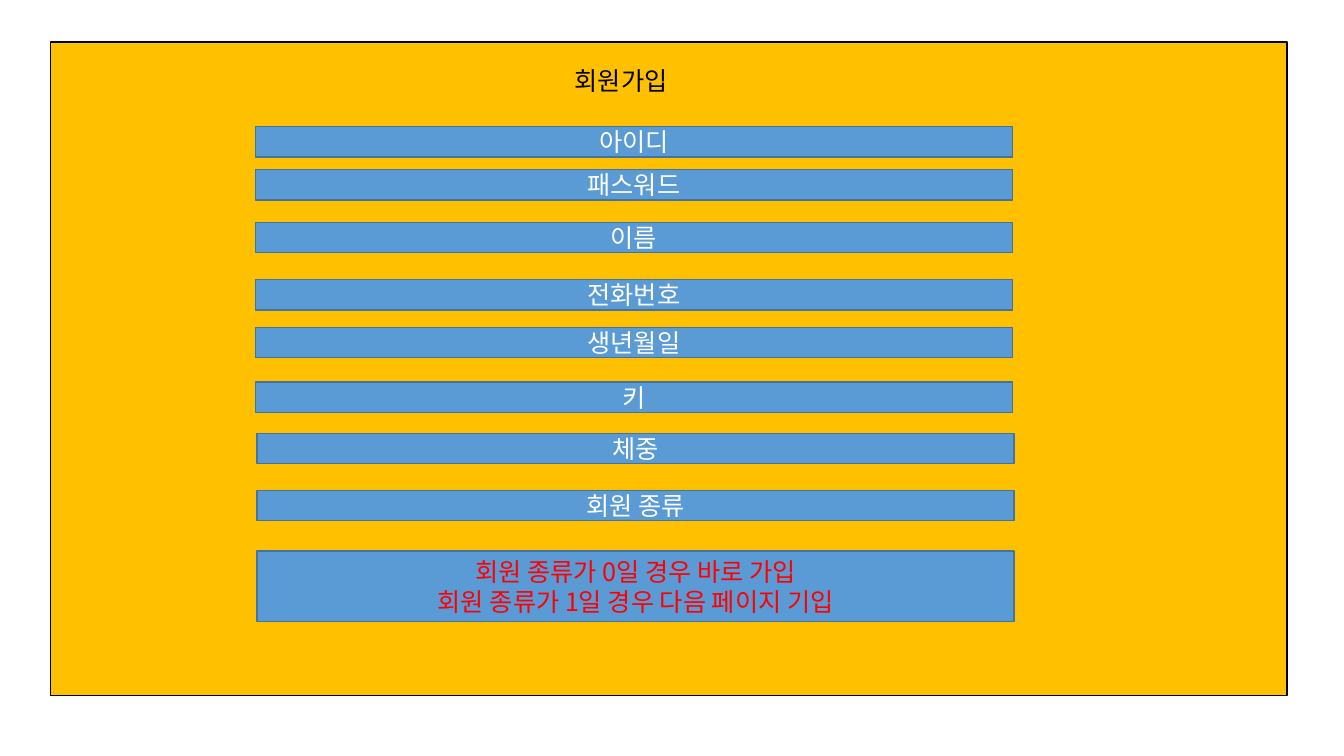
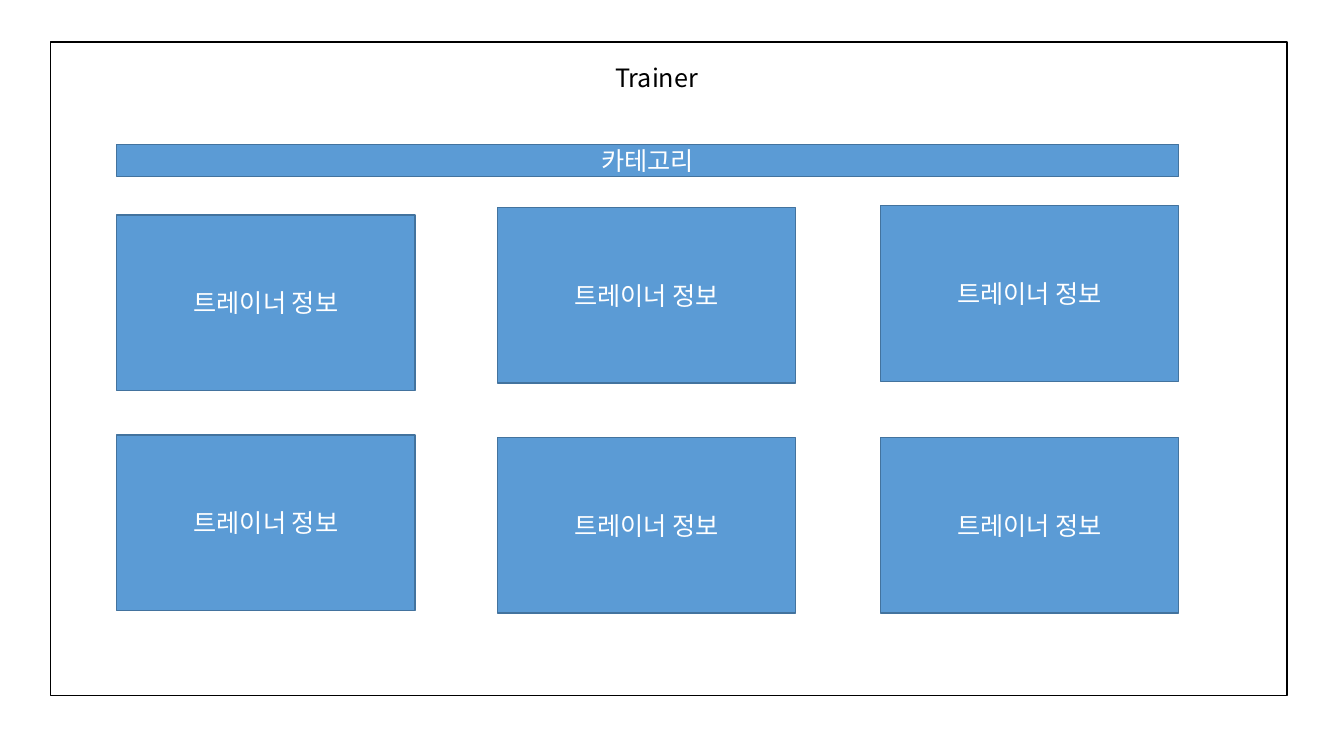
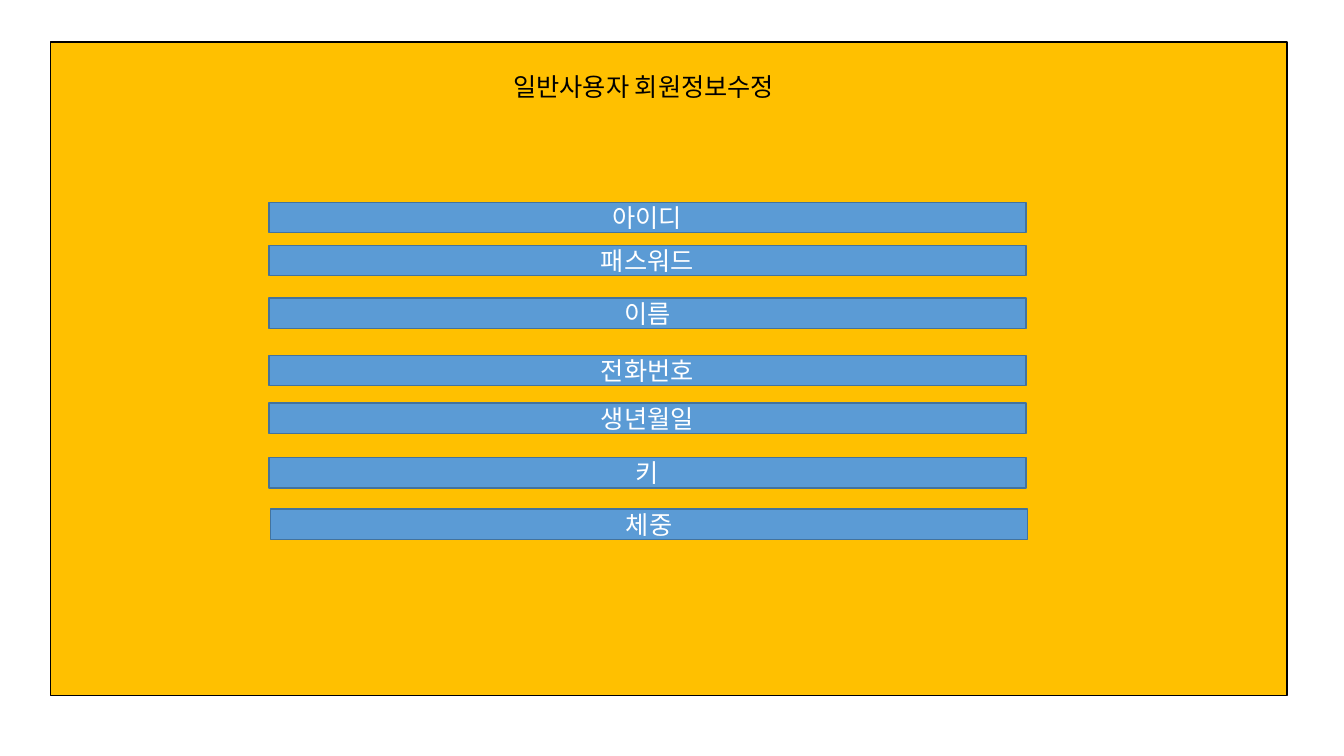
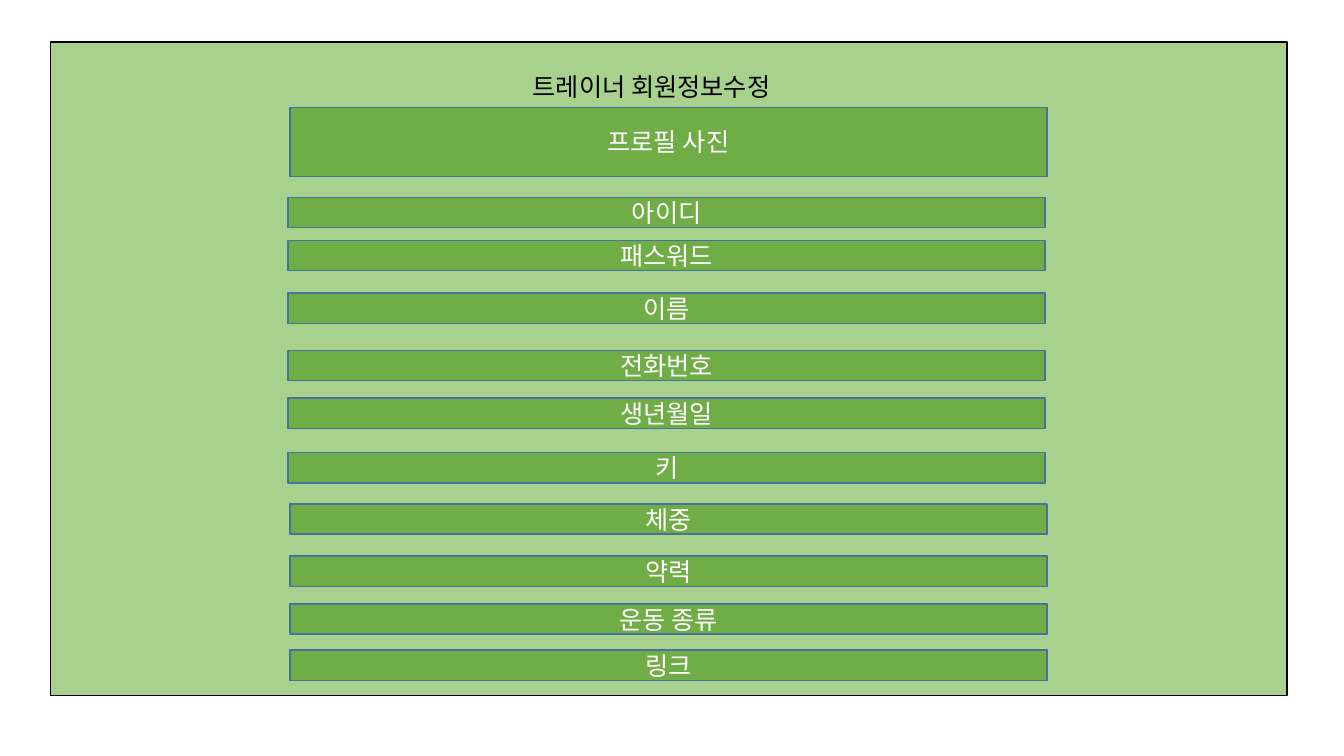
import pptx
import pptx.util
import pptx.dml.color
import pptx.enum.shapes
import pptx.enum.text
import pptx.oxml.ns
import lxml.etree

FONT = "Noto Sans CJK KR"
HUES = {
    "black": "000000", "white": "FFFFFF", "red": "FF0000",
    "gold": "FFC000", "blue": "5B9BD5", "edge": "43739E",
    "pale": "A9D18E", "green": "70AD47",
}
ROWS = 90

deck = pptx.Presentation()
deck.slide_width = pptx.util.Inches(13.33)
deck.slide_height = pptx.util.Inches(7.5)
cell = deck.slide_height / ROWS


def write(shape, text, hue, align, anchor):
    frame = shape.text_frame
    frame.text = text
    frame.word_wrap = True
    frame.auto_size = pptx.enum.text.MSO_AUTO_SIZE.NONE
    frame.vertical_anchor = anchor
    for para in frame.paragraphs:
        para.alignment = align
        for run in para.runs:
            run.font.size = pptx.util.Pt(18)
            run.font.name = FONT
            run.font.color.rgb = pptx.dml.color.RGBColor.from_string(HUES[hue])
            props = run.font._element
            east = lxml.etree.SubElement(props, pptx.oxml.ns.qn("a:ea"))
            east.set("typeface", FONT)


def box(slide, place, fill, edge="edge", text="", hue="white"):
    spot = [round(n * cell) for n in place]
    shape = slide.shapes.add_shape(pptx.enum.shapes.MSO_SHAPE.RECTANGLE, *spot)
    shape.shadow.inherit = False
    shape.fill.solid()
    shape.fill.fore_color.rgb = pptx.dml.color.RGBColor.from_string(HUES[fill])
    shape.line.color.rgb = pptx.dml.color.RGBColor.from_string(HUES[edge])
    shape.line.width = pptx.util.Pt(1)
    if text:
        write(shape, text, hue, pptx.enum.text.PP_ALIGN.CENTER,
              pptx.enum.text.MSO_ANCHOR.MIDDLE)
    return shape


heads = [
    ("회원가입", 67.2, 7.2, 16.9, "gold"),
    ("Trainer", 72, 6.8, 31.3, "white"),
    ("일반사용자 회원정보수정", 59.9, 7.9, 39.6, "gold"),
    ("트레이너 회원정보수정", 62.2, 7.9, 35, "pale"),
]
slides = []
for text, left, top, width, fill in heads:
    slide = deck.slides.add_slide(deck.slide_layouts[5])
    title = slide.shapes.title
    title.left, title.top = round(left * cell), round(top * cell)
    title.width, title.height = round(width * cell), round(4.8 * cell)
    write(title, text, "black", pptx.enum.text.PP_ALIGN.LEFT,
          pptx.enum.text.MSO_ANCHOR.TOP)
    panel = box(slide, (6, 5, 147.2, 77.8), fill, "black")
    title.element.addprevious(panel.element)
    slides.append(slide)
join, team, user, coach = slides

WIDE, HIGH, SHIFT = 90.1, 3.6, 0.2
fields = [
    ("아이디", 0, 0), ("패스워드", 0, 5.1), ("이름", 0, 11.4),
    ("전화번호", 0, 18.2), ("생년월일", 0, 23.9), ("키", 0, 30.4),
    ("체중", SHIFT, 36.5),
]
forms = [
    (join, 30.4, 15.1, "blue"),
    (user, 32, 24.1, "blue"),
    (coach, 34.3, 23.5, "green"),
]
for slide, left, top, fill in forms:
    for text, shift, drop in fields:
        box(slide, (left + shift, top + drop, WIDE, HIGH), fill, text=text)

extras = [
    (join, 30.6, 58.4, HIGH, "blue", "회원 종류", "white"),
    (join, 30.6, 65.6, 8.4, "blue",
     "회원 종류가 0일 경우 바로 가입\n회원 종류가 1일 경우 다음 페이지 기입", "red"),
    (coach, 34.5, 12.8, 8.2, "green", "프로필 사진", "white"),
    (coach, 34.5, 66.2, HIGH, "green", "약력", "white"),
    (coach, 34.5, 71.9, HIGH, "green", "운동 종류", "white"),
    (coach, 34.5, 77.4, HIGH, "green", "링크", "white"),
]
for slide, left, top, high, fill, text, hue in extras:
    box(slide, (left, top, WIDE, high), fill, text=text, hue=hue)

box(team, (13.9, 17.2, 126.4, 3.8), "blue", text="카테고리")
cards = [(13.9, (25.6, 51.8)), (59.2, (24.7, 52.1)), (104.8, (24.5, 52.1))]
for left, tops in cards:
    for top in tops:
        box(team, (left, top, 35.5, 20.9), "blue", text="트레이너 정보")

deck.save("out.pptx")
